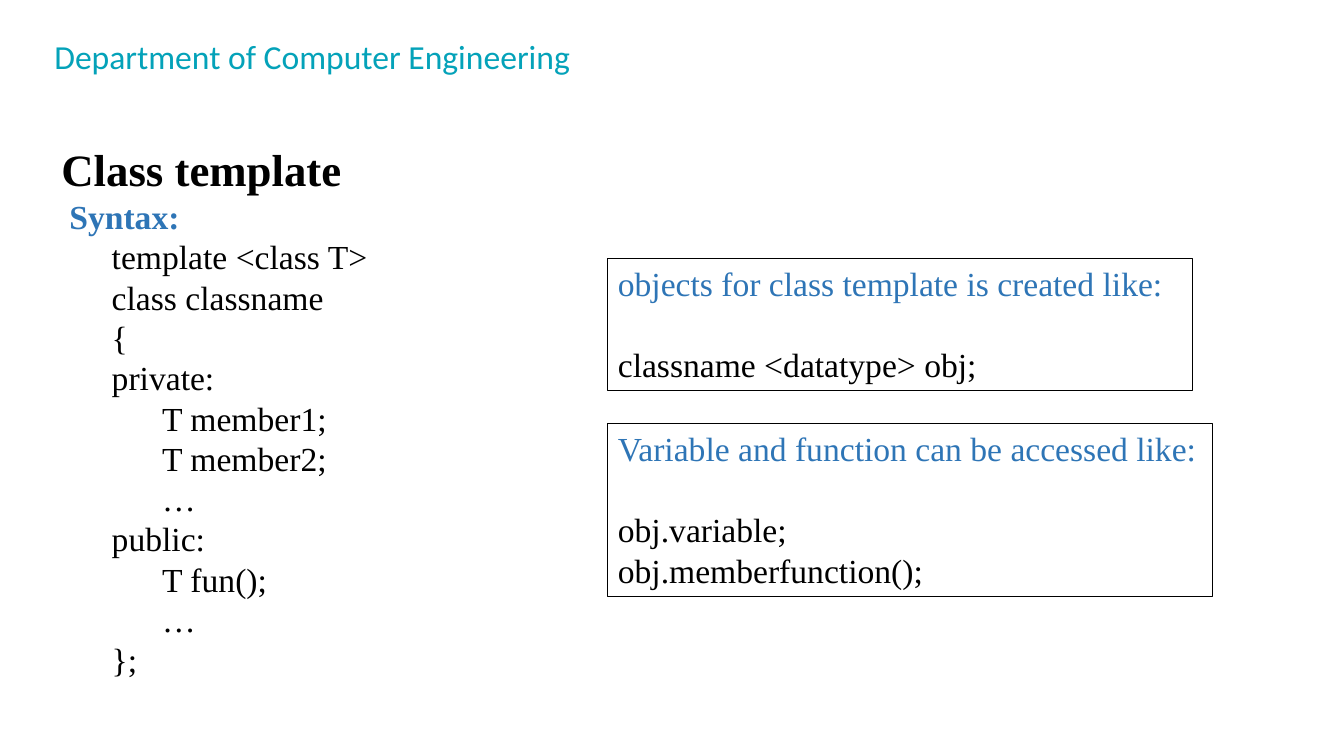
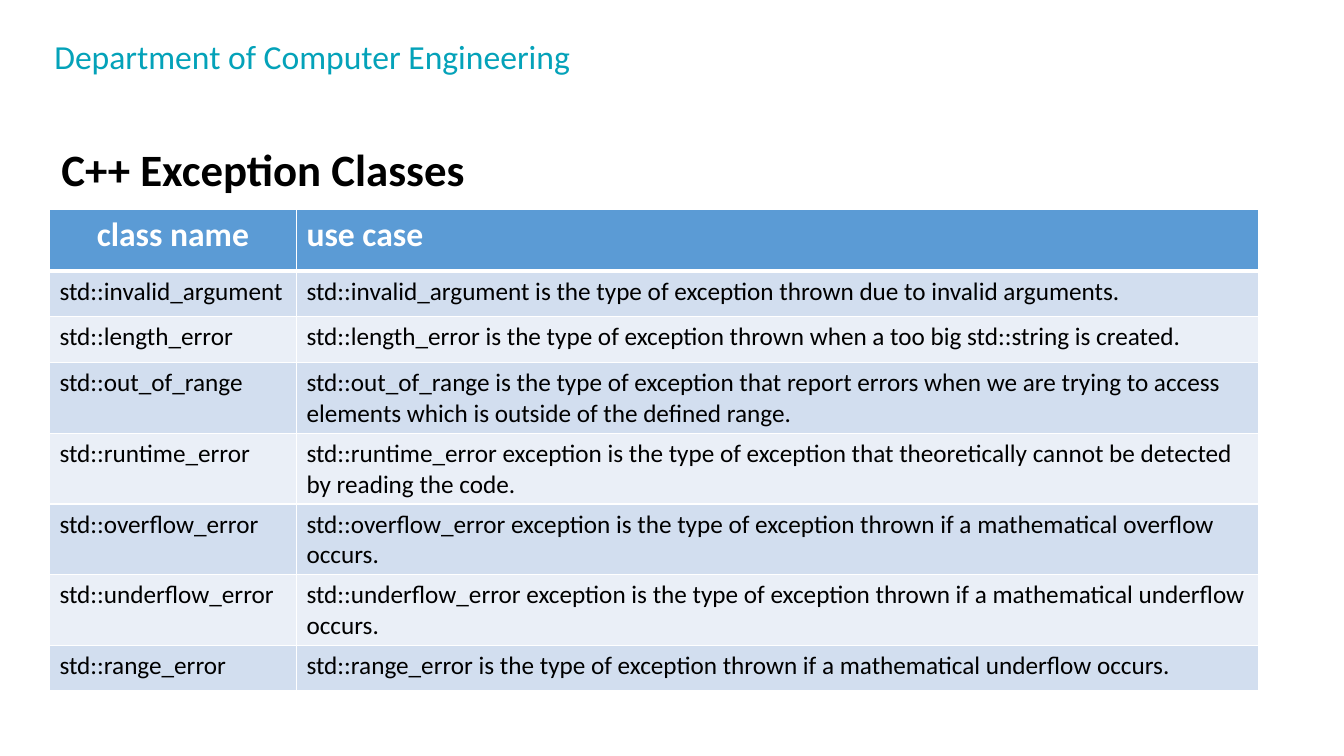
from lxml import etree
from pptx import Presentation
from pptx.dml.color import RGBColor
from pptx.enum.shapes import MSO_SHAPE as Shape
from pptx.enum.text import MSO_ANCHOR as Anchor, PP_ALIGN as Align
from pptx.oxml.ns import qn
from pptx.util import Inches, Pt

# Shared colours and fonts
TEAL = RGBColor(0x04, 0xA2, 0xB9)
BLUE = RGBColor(0x2E, 0x75, 0xB6)
BLACK = RGBColor(0, 0, 0)
WHITE = RGBColor(0xFF, 0xFF, 0xFF)
HEADER_FILL = RGBColor(0x5B, 0x9B, 0xD5)
ROW_FILLS = (RGBColor(0xD2, 0xDE, 0xEF), RGBColor(0xEA, 0xEF, 0xF7))
SANS = "Calibri"
SERIF = "Times New Roman"

# Slide content: (indent level, code line)
SYNTAX = [
    (1, "template <class T>"),
    (1, "class classname"),
    (1, "{"),
    (1, "private:"),
    (2, "T member1;"),
    (2, "T member2;"),
    (2, "…"),
    (1, "public:"),
    (2, "T fun();"),
    (2, "…"),
    (1, "};"),
]
# Exception class, what follows its name in the use case, row height
EXCEPTIONS = [
    ("std::invalid_argument",
     "is the type of exception thrown due to invalid arguments.", 0.45),
    ("std::length_error",
     "is the type of exception thrown when a too big std::string is created.", 0.46),
    ("std::out_of_range",
     "is the type of exception that report errors when we are trying to access "
     "elements which is outside of the defined range.", 0.61),
    ("std::runtime_error",
     "exception is the type of exception that theoretically cannot be detected "
     "by reading the code.", 0.61),
    ("std::overflow_error",
     "exception is the type of exception thrown if a mathematical overflow occurs.", 0.43),
    ("std::underflow_error",
     "exception is the type of exception thrown if a mathematical underflow occurs.", 0.61),
    ("std::range_error",
     "is the type of exception thrown if a mathematical underflow occurs.", 0.45),
]


def write(frame, text, font=SERIF, size=24, color=BLACK, bold=False,
          align=Align.LEFT, indent=0, after=0):
    """Write one paragraph, using the empty first one when there is one."""
    para = frame.paragraphs[0]
    if para.runs:
        para = frame.add_paragraph()
    para.alignment = align
    para.space_after = Pt(after)
    if indent:
        para._p.get_or_add_pPr().set("marL", str(Inches(indent)))
    span = para.add_run()
    span.text = text
    span.font.name = font
    span.font.size = Pt(size)
    span.font.bold = bold
    span.font.color.rgb = color


def add_text(page, left, top, width, height):
    frame = page.shapes.add_textbox(
        Inches(left), Inches(top), Inches(width), Inches(height)).text_frame
    frame.word_wrap = True
    return frame


def add_page(deck, heading, font):
    """Add a page with the department title and a heading; return page and body."""
    page = deck.slides.add_slide(deck.slide_layouts[6])
    title = add_text(page, 0.53, 0.34, 7.34, 0.42)
    title.margin_left = title.margin_right = title.margin_bottom = 0
    title.margin_top = Inches(0.01)
    title.vertical_anchor = Anchor.MIDDLE
    write(title, "Department of Computer Engineering", font=SANS, color=TEAL, indent=0.01)
    body = add_text(page, 0.51, 1.36, 12.41, 5.35)
    write(body, heading, font=font, size=32, bold=True)
    return page, body


def add_usage_box(page, left, top, width, height, caption, code):
    """Outlined box: a caption, a one-line gap, then lines of code."""
    box = page.shapes.add_shape(
        Shape.RECTANGLE, Inches(left), Inches(top), Inches(width), Inches(height))
    box.shadow.inherit = False
    box.fill.background()
    box.line.color.rgb = BLACK
    box.line.width = Pt(0.75)
    frame = box.text_frame
    frame.word_wrap = True
    frame.vertical_anchor = Anchor.TOP
    write(frame, caption, color=BLUE, after=29)
    for line in code:
        write(frame, line)


def set_borders(cell, bottom):
    """White lines round a cell; the bottom one has its own width in points."""
    props = cell._tc.get_or_add_tcPr()
    widths = {"a:lnL": 1, "a:lnR": 1, "a:lnT": 1, "a:lnB": bottom}
    for place, (tag, width) in enumerate(widths.items()):
        line = etree.Element(qn(tag), w=str(Pt(width)))
        fill = etree.SubElement(line, qn("a:solidFill"))
        etree.SubElement(fill, qn("a:srgbClr"), val=str(WHITE))
        props.insert(place, line)


def fill_row(table, index, texts, fill, bottom=1, aligns=(Align.LEFT, Align.LEFT), **style):
    for column, (text, align) in enumerate(zip(texts, aligns)):
        cell = table.cell(index, column)
        cell.fill.solid()
        cell.fill.fore_color.rgb = fill
        set_borders(cell, bottom)
        write(cell.text_frame, text, font=SANS, align=align, **style)


def add_exception_table(page, left, top, widths, header_height):
    heights = [header_height] + [height for _, _, height in EXCEPTIONS]
    table = page.shapes.add_table(
        len(heights), len(widths), Inches(left), Inches(top),
        Inches(sum(widths)), Inches(sum(heights))).table
    for column, width in zip(table.columns, widths):
        column.width = Inches(width)
    for row, height in zip(table.rows, heights):
        row.height = Inches(height)
    fill_row(table, 0, ("class name", "use case"), HEADER_FILL, bottom=3,
             aligns=(Align.CENTER, Align.LEFT), color=WHITE, bold=True)
    for index, (name, use, _) in enumerate(EXCEPTIONS, 1):
        fill_row(table, index, (name, f"{name} {use}"), ROW_FILLS[(index - 1) % 2],
                 bottom=1, size=18)


def build_template_page(deck):
    page, body = add_page(deck, "Class template", SERIF)
    write(body, "Syntax:", color=BLUE, bold=True, indent=0.08)
    for level, line in SYNTAX:
        write(body, line, indent=0.5 * level)
    add_usage_box(page, 6.03, 2.56, 5.8, 1.31,
                  "objects for class template is created like:",
                  ["classname <datatype> obj;"])
    add_usage_box(page, 6.03, 4.2, 6, 1.72,
                  "Variable and function can be accessed like:",
                  ["obj.variable;", "obj.memberfunction();"])


def build_exception_page(deck):
    page, _ = add_page(deck, "C++ Exception Classes", SANS)
    add_exception_table(page, 0.49, 2.08, (2.45, 9.54), 0.61)


def main():
    deck = Presentation()
    deck.slide_width, deck.slide_height = Inches(13.33), Inches(7.5)
    build_template_page(deck)
    build_exception_page(deck)
    deck.save("out.pptx")


if __name__ == "__main__":
    main()
